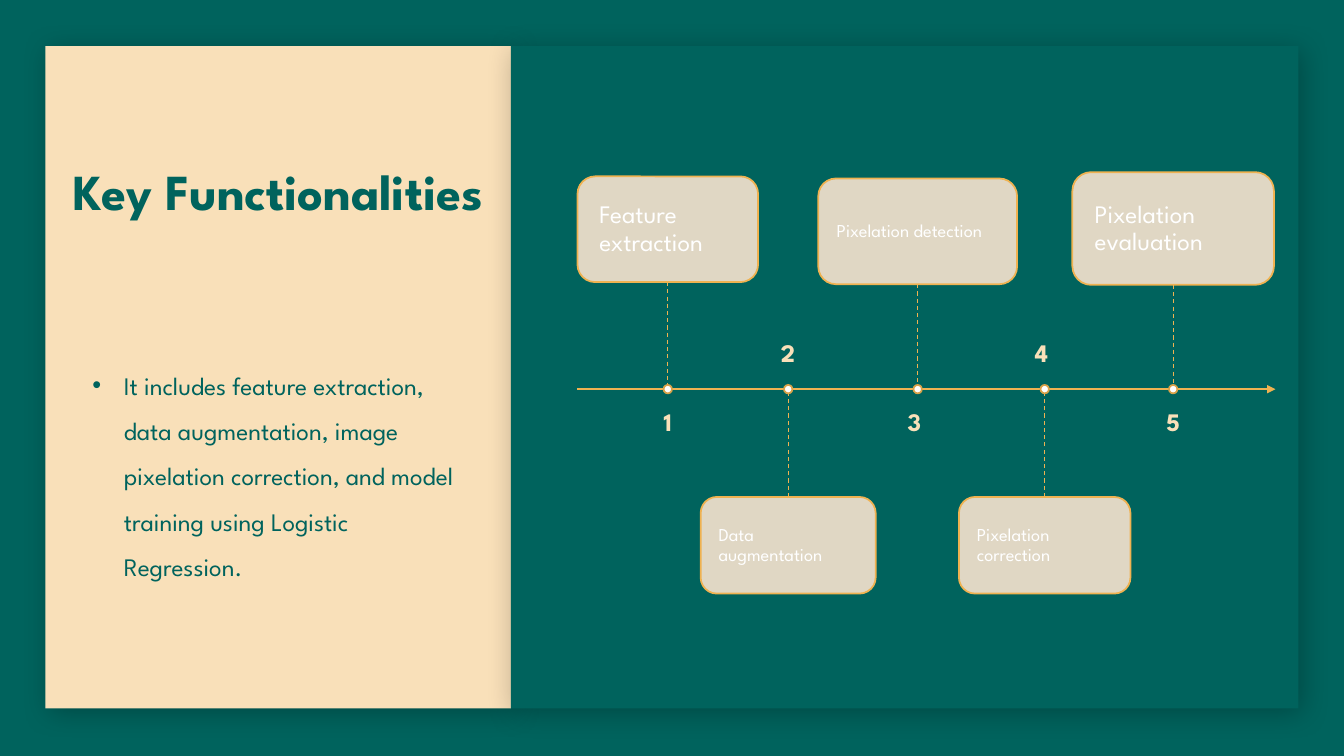
from lxml import etree
from pptx import Presentation
from pptx.dml.color import RGBColor
from pptx.enum.dml import MSO_LINE
from pptx.enum.shapes import MSO_CONNECTOR, MSO_SHAPE
from pptx.enum.text import MSO_ANCHOR, MSO_AUTO_SIZE, PP_ALIGN
from pptx.oxml import parse_xml
from pptx.oxml.ns import nsdecls, qn
from pptx.util import Pt

RECT, ROUND, OVAL = MSO_SHAPE.RECTANGLE, MSO_SHAPE.ROUNDED_RECTANGLE, MSO_SHAPE.OVAL
STRAIGHT, DASH = MSO_CONNECTOR.STRAIGHT, MSO_LINE.DASH
TOP, MIDDLE, BOTTOM = MSO_ANCHOR.TOP, MSO_ANCHOR.MIDDLE, MSO_ANCHOR.BOTTOM
LEFT, CENTER = PP_ALIGN.LEFT, PP_ALIGN.CENTER
NO_FIT = MSO_AUTO_SIZE.NONE

FONT = "League Spartan"
TEAL, CREAM, CARD, GOLD, RING, WHITE = (
    "00635D", "F9E0B9", "F9E4D0", "EFB251", "D9A24A", "FFFFFF")
AXIS_Y, AXIS_START, AXIS_END = 278, 412.5, 911
DOT = 6
NUMBER_W, NUMBER_H, NUMBER_GAP = 86, 46, 15

STEPS = [
    ("1", "Feature extraction", 18, 12, (412.5, 126, 129, 75.5)),
    ("2", "Data augmentation", 13, 9.5, (500.5, 355, 125, 69)),
    ("3 ", "Pixelation detection", 13, 9.5, (584.5, 127.5, 142, 75.5)),
    ("4 ", "Pixelation correction", 13, 9.5, (685, 355, 122.5, 69)),
    ("5", "Pixelation evaluation", 18, 12, (766, 123, 144, 80.5)),
]


def rgb(value):
    return RGBColor.from_string(value)


def assign(target, values):
    for name, value in values.items():
        setattr(target, name, value)


class Deck:
    """Holds the presentation, its current slide and the shared style."""

    def __init__(self):
        self.prs = Presentation()
        assign(self.prs, {"slide_width": Pt(960), "slide_height": Pt(540)})
        self.s = self.prs.slides.add_slide(self.prs.slide_layouts[1])
        fill = self.s.background.fill
        fill.solid()
        fill.fore_color.rgb = rgb(TEAL)

    def shape(self, kind, box, color, line=None, alpha=None):
        sp = self.s.shapes.add_shape(kind, *map(Pt, box))
        sp.shadow.inherit = False
        sp.fill.solid()
        sp.fill.fore_color.rgb = rgb(color)
        if alpha:
            clr = sp.fill._xPr.find(qn("a:solidFill"))[0]
            etree.SubElement(clr, qn("a:alpha"), val=str(alpha * 1000))
        if line:
            sp.line.color.rgb = rgb(line)
            sp.line.width = Pt(1.25)
        else:
            sp.line.fill.background()
        return sp

    def panel(self, box, color):
        sp = self.shape(RECT, box, color)
        effects = sp._element.spPr.find(qn("a:effectLst"))
        effects.append(parse_xml(
            f'<a:outerShdw {nsdecls("a")} blurRad="{Pt(20)}" dist="{Pt(4)}" '
            'dir="2700000" algn="tl" rotWithShape="0"><a:srgbClr val="000000">'
            '<a:alpha val="25000"/></a:srgbClr></a:outerShdw>'))
        tree = self.s.shapes._spTree
        tree.insert(tree.index(self.s.shapes.title._element), sp._element)

    def text(self, sp, text, size, color, bold=False, anchor=TOP, align=LEFT,
             spacing=0.9, insets=(0, 0, 0, 0)):
        tf = sp.text_frame
        sides = ("margin_left", "margin_top", "margin_right", "margin_bottom")
        assign(tf, dict(zip(sides, map(Pt, insets))))
        assign(tf, {"word_wrap": True, "auto_size": NO_FIT, "vertical_anchor": anchor})
        p = tf.paragraphs[0]
        assign(p, {"alignment": align, "line_spacing": spacing, "space_before": Pt(0)})
        r = p.add_run()
        r.text = text
        assign(r.font, {"name": FONT, "size": Pt(size), "bold": bold})
        r.font.color.rgb = rgb(color)
        return p

    def placeholder(self, index, box, text, size, **style):
        sp = self.s.placeholders[index]
        assign(sp, dict(zip(("left", "top", "width", "height"), map(Pt, box))))
        return self.text(sp, text, size, TEAL, **style)

    def bullet(self, p, indent):
        pPr = p._p.get_or_add_pPr()
        pPr.set("marL", str(Pt(indent)))
        pPr.set("indent", str(-Pt(indent)))
        clr = etree.SubElement(pPr, qn("a:buClr"))
        etree.SubElement(clr, qn("a:srgbClr"), val=TEAL)
        etree.SubElement(pPr, qn("a:buFont"), typeface="Arial")
        etree.SubElement(pPr, qn("a:buChar"), char="•")

    def line(self, start, end, width, dash=None, arrow=False):
        cxn = self.s.shapes.add_connector(STRAIGHT, *map(Pt, start + end))
        cxn.line.color.rgb = rgb(GOLD)
        assign(cxn.line, {"width": Pt(width), "dash_style": dash})
        if arrow:
            etree.SubElement(cxn.line._get_or_add_ln(), qn("a:tailEnd"), type="triangle")
        etree.SubElement(cxn._element.spPr, qn("a:effectLst"))
        return cxn

    def step(self, number, label, size, inset, box):
        left, top, width, height = box
        x = left + width / 2
        above = top < AXIS_Y
        card = self.shape(ROUND, box, CARD, GOLD, 90)
        self.text(card, label, size, WHITE, anchor=MIDDLE, insets=(inset,) * 4)
        edge = top + height if above else top
        stem = self.line((x, edge), (x, AXIS_Y), 0.75, DASH)
        stem.begin_connect(card, 2 if above else 0)
        self.shape(OVAL, (x - DOT / 2, AXIS_Y - DOT / 2, DOT, DOT), WHITE, RING)
        y = AXIS_Y + NUMBER_GAP if above else AXIS_Y - NUMBER_GAP - NUMBER_H
        number_box = (x - NUMBER_W / 2, y, NUMBER_W, NUMBER_H)
        tb = self.s.shapes.add_textbox(*map(Pt, number_box))
        self.text(tb, number, 18, CREAM, bold=True, align=CENTER,
                  anchor=TOP if above else BOTTOM)


def main():
    deck = Deck()
    deck.panel((32.5, 33, 332.5, 473), CREAM)
    deck.panel((365, 33, 562.5, 473), TEAL)
    deck.placeholder(0, (42, 49.5, 314, 173), "Key Functionalities", 36, bold=True,
                     anchor=MIDDLE, align=CENTER, spacing=1.0, insets=(7, 3.5, 7, 3.5))
    p = deck.placeholder(
        1, (59, 250, 297.5, 245.5),
        "It includes feature extraction, data augmentation, image pixelation "
        "correction, and model training using Logistic Regression.",
        18, spacing=1.5, insets=(7, 3.5, 21.5, 3.5))
    deck.bullet(p, 22.5)
    deck.line((AXIS_START, AXIS_Y), (AXIS_END, AXIS_Y), 1.25, arrow=True)
    for step in STEPS:
        deck.step(*step)
    deck.prs.save("out.pptx")


if __name__ == "__main__":
    main()
